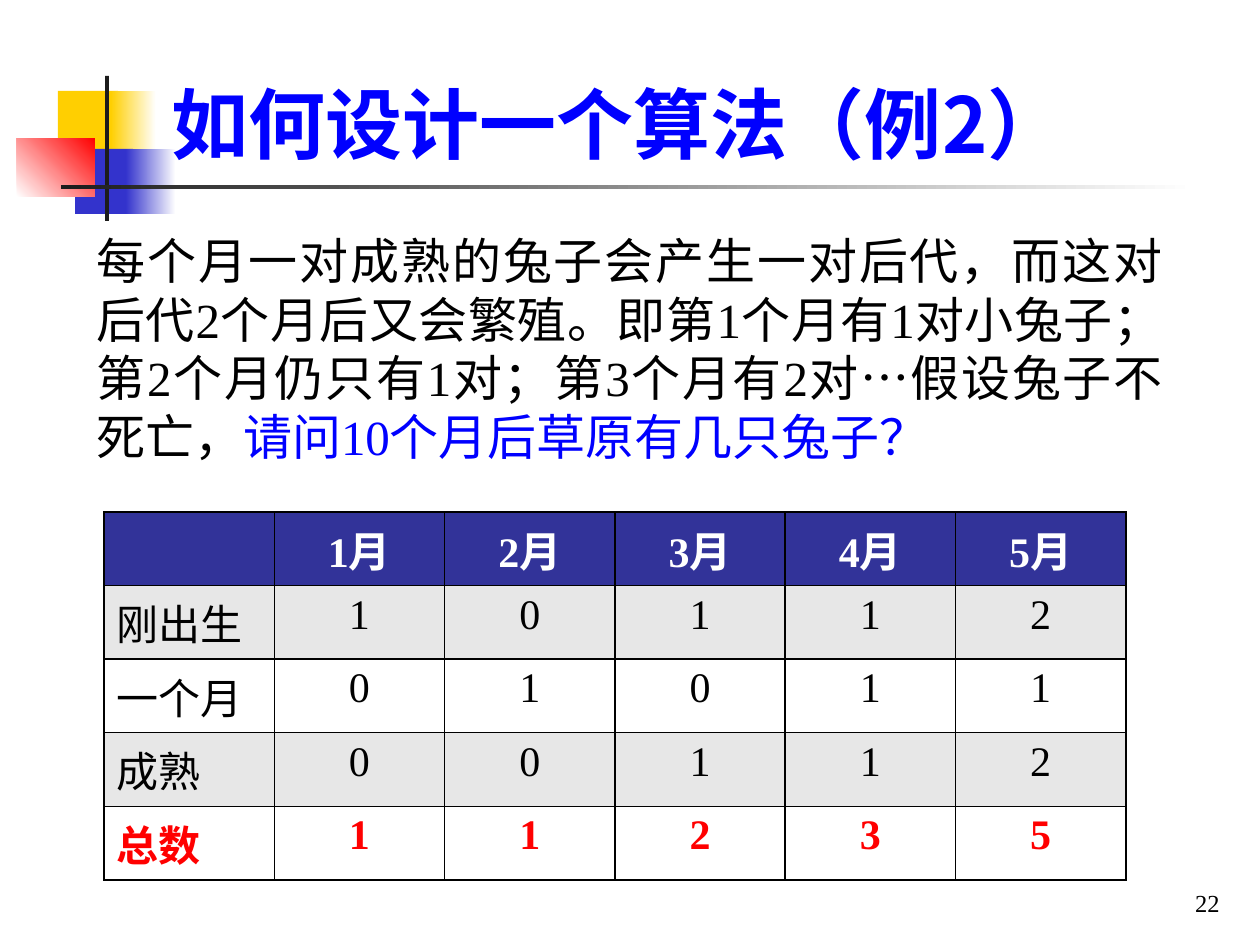
import pptx
import pptx.util
import pptx.dml.color
import pptx.enum.shapes
import pptx.enum.text
import pptx.oxml
import pptx.oxml.ns
from dataclasses import dataclass

ALIGN = pptx.enum.text.PP_ALIGN
ANCHOR = pptx.enum.text.MSO_ANCHOR


@dataclass(frozen=True)
class Theme:
    """Colours, fonts and type sizes of the slide."""
    black: str = "000000"
    white: str = "FFFFFF"
    blue: str = "0000FF"
    red: str = "FF0000"
    gold: str = "FFCF01"
    indigo: str = "3333CC"
    dark: str = "1C1C1C"
    head: str = "323399"
    band: str = "E7E7E7"
    serif: str = "Times New Roman"
    sans: str = "Noto Sans CJK SC"
    title: int = 44
    body: int = 28
    cell: int = 24
    page: int = 14


THEME = Theme()

BLOCKS = [
    ((58, 91, 60, 65), [THEME.gold], 0),
    ((111, 91, 45, 65), [THEME.gold, THEME.white], 0),
    ((75, 149, 58, 65), [THEME.indigo], 0),
    ((126, 149, 50, 65), [THEME.indigo, THEME.white], 0),
    ((17, 138, 78, 59), [THEME.white, THEME.red], 45),
    ((105, 76, 4, 145), [THEME.dark], 0),
    ((61, 185, 1134, 4), [THEME.dark, THEME.white], 0),
]

STORY = ("每个月一对成熟的兔子会产生一对后代，而这对后代2个月后又会繁殖。"
         "即第1个月有1对小兔子；第2个月仍只有1对；第3个月有2对…假设兔子不死亡，")
QUERY = "请问10个月后草原有几只兔子？"

ROWS = [
    ["", "1月", "2月", "3月", "4月", "5月"],
    ["刚出生", "1", "0", "1", "1", "2"],
    ["一个月", "0", "1", "0", "1", "1"],
    ["成熟", "0", "0", "1", "1", "2"],
    ["总数", "1", "1", "2", "3", "5"],
]


def px(count):
    """Turn pixels into EMU at 126 to the inch."""
    return pptx.util.Emu(round(count * 914400 / 126))


def rgb(code):
    """Turn a hex code into a colour."""
    return pptx.dml.color.RGBColor.from_string(code)


def style(run, size, color, bold=False, font=THEME.serif):
    """Format one run, with the sans face for Chinese letters."""
    run.font.name = font
    run.font.size = pptx.util.Pt(size)
    run.font.bold = bold
    run.font.color.rgb = rgb(color)
    east = pptx.oxml.parse_xml(
        f'<a:ea {pptx.oxml.ns.nsdecls("a")} typeface="{THEME.sans}"/>')
    run.font._element.find(pptx.oxml.ns.qn("a:latin")).addnext(east)


def add_block(slide, box, colors, angle):
    """Add a plain or fading rectangle."""
    kind = pptx.enum.shapes.MSO_SHAPE.RECTANGLE
    block = slide.shapes.add_shape(kind, *map(px, box))
    block.shadow.inherit = False
    block.line.fill.background()
    if len(colors) == 1:
        block.fill.solid()
        block.fill.fore_color.rgb = rgb(colors[0])
        return
    block.fill.gradient()
    block.fill.gradient_angle = angle
    for stop, color in zip(block.fill.gradient_stops, colors):
        stop.color.rgb = rgb(color)


def set_title(slide, box, text):
    """Place and format the title above the blocks."""
    title = slide.shapes.title
    title.left, title.top, title.width, title.height = map(px, box)
    frame = title.text_frame
    frame.text = text
    frame.word_wrap = True
    frame.auto_size = pptx.enum.text.MSO_AUTO_SIZE.NONE
    frame.vertical_anchor = ANCHOR.BOTTOM
    para = frame.paragraphs[0]
    para.alignment = ALIGN.LEFT
    style(para.runs[0], THEME.title, THEME.blue, True, THEME.sans)
    slide.shapes._spTree.append(title._element)


def add_text(slide, box, parts, size, align, anchor=ANCHOR.TOP):
    """Add a one-paragraph text box of coloured parts."""
    frame = slide.shapes.add_textbox(*map(px, box)).text_frame
    frame.word_wrap = True
    frame.vertical_anchor = anchor
    para = frame.paragraphs[0]
    para.alignment = align
    for text, color in parts:
        run = para.add_run()
        run.text = text
        style(run, size, color)


def add_edge(cell):
    """Draw a thin black line on every side of a cell."""
    props = cell._tc.get_or_add_tcPr()
    for side in "LRTB":
        props.append(pptx.oxml.parse_xml(
            f'<a:ln{side} {pptx.oxml.ns.nsdecls("a")} w="12700"><a:solidFill>'
            f'<a:srgbClr val="{THEME.black}"/></a:solidFill></a:ln{side}>'))


def fill_cell(cell, text, row, col):
    """Fill and format one cell by its place in the table."""
    first, last = row == 0, row == len(ROWS) - 1
    add_edge(cell)
    cell.fill.solid()
    back = THEME.head if first else THEME.band if row % 2 else THEME.white
    cell.fill.fore_color.rgb = rgb(back)
    cell.text_frame.text = text
    para = cell.text_frame.paragraphs[0]
    para.alignment = ALIGN.CENTER if col else ALIGN.LEFT
    ink = THEME.white if first else THEME.red if last else THEME.black
    for run in para.runs:
        style(run, THEME.cell, ink, first or last)


def add_grid(slide, box):
    """Add the rabbit table with equal columns and rows."""
    left, top, wide, high = map(px, box)
    count = len(ROWS[0])
    grid = slide.shapes.add_table(
        len(ROWS), count, left, top, wide, high).table
    for col in grid.columns:
        col.width = wide // count
    for row, texts in enumerate(ROWS):
        grid.rows[row].height = high // len(ROWS)
        for col, text in enumerate(texts):
            fill_cell(grid.cell(row, col), text, row, col)


def main():
    """Build the slide and save it."""
    deck = pptx.Presentation()
    deck.slide_width, deck.slide_height = px(1260), px(945)
    slide = deck.slides.add_slide(deck.slide_layouts[5])
    for box, colors, angle in BLOCKS:
        add_block(slide, box, colors, angle)
    add_text(slide, (970, 861, 262, 63), [("22", THEME.black)],
             THEME.page, ALIGN.RIGHT, ANCHOR.BOTTOM)
    set_title(slide, (159, 30, 1074, 145), "如何设计一个算法（例2）")
    add_text(slide, (84, 224, 1091, 621),
             [(STORY, THEME.black), (QUERY, THEME.blue)],
             THEME.body, ALIGN.JUSTIFY)
    add_grid(slide, (104, 512, 1022, 368))
    deck.save("out.pptx")


if __name__ == "__main__":
    main()
